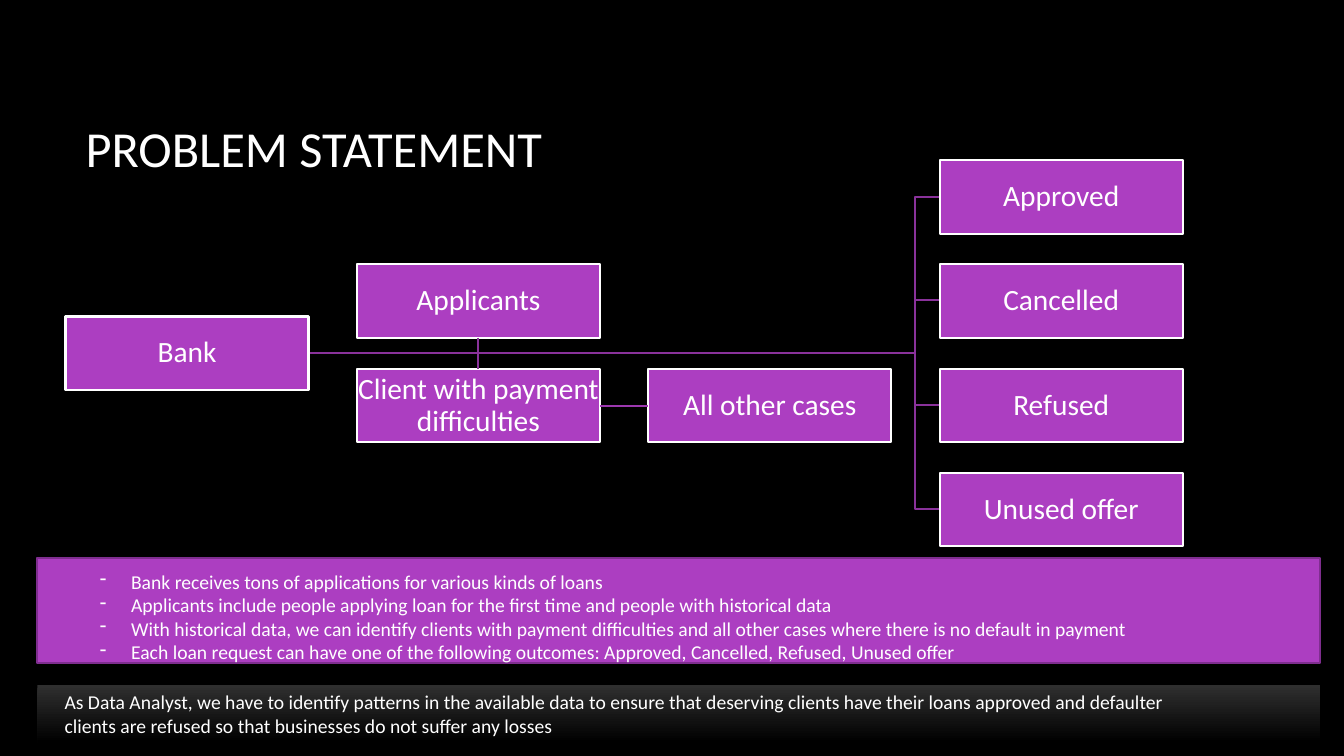
import dataclasses

import lxml.etree
import pptx
import pptx.dml.color
import pptx.enum.shapes
import pptx.enum.text
import pptx.oxml.ns
import pptx.shapes.autoshape
import pptx.util

SCALE = 9144
FONT = "Calibri"
COLORS = {
    "black": "000000",
    "white": "FFFFFF",
    "box": "AC3EC1",
    "edge": "7F2E8F",
    "branch": "8A329B",
    "link": "9C38AF",
    "grey": "2F2F2F",
}
WIDTH, HEIGHT = 241, 73
LEFT, TOP = 65, 159
COL_STEP, ROW_STEP = 289, 207
SPINE = 908
POINTS = [
    "Bank receives tons of applications for various kinds of loans",
    "Applicants include people applying loan for the first time and people with historical data",
    "With historical data, we can identify clients with payment difficulties "
    "and all other cases where there is no default in payment",
    "Each loan request can have one of the following outcomes: "
    "Approved, Cancelled, Refused, Unused offer",
]
GOAL = (
    "As Data Analyst, we have to identify patterns in the available data to ensure that "
    "deserving clients have their loans approved and defaulter clients are refused so that "
    "businesses do not suffer any losses"
)


@dataclasses.dataclass(frozen=True)
class Node:
    text: str
    col: int
    half: int

    @property
    def left(self) -> int:
        return LEFT + self.col * COL_STEP

    @property
    def top(self) -> int:
        return TOP + self.half * ROW_STEP // 4

    @property
    def mid(self) -> int:
        return self.top + HEIGHT // 2


@dataclasses.dataclass(frozen=True)
class Link:
    start: Node
    start_site: int
    end: Node
    end_site: int
    color: str


BANK = Node("Bank", 0, 3)
PEOPLE = Node("Applicants", 1, 2)
CLIENT = Node("Client with payment difficulties", 1, 4)
OTHERS = Node("All other cases", 2, 4)
RESULTS = [
    Node(text, 3, 2 * row)
    for row, text in enumerate(["Approved", "Cancelled", "Refused", "Unused offer"])
]
LINKS = [
    Link(PEOPLE, 3, CLIENT, 0, "branch"),
    Link(CLIENT, 3, OTHERS, 1, "link"),
]
LINKS[0] = dataclasses.replace(LINKS[0], start_site=2)


def px(size: int) -> pptx.util.Emu:
    return pptx.util.Emu(size * SCALE)


def rgb(name: str) -> pptx.dml.color.RGBColor:
    return pptx.dml.color.RGBColor.from_string(COLORS[name])


def write(shape: pptx.shapes.autoshape.Shape, text: str, size: int, center: bool = False) -> None:
    frame = shape.text_frame
    frame.word_wrap = True
    frame.text = text
    for line in frame.paragraphs:
        line.alignment = pptx.enum.text.PP_ALIGN.CENTER if center else pptx.enum.text.PP_ALIGN.LEFT
        for run in line.runs:
            run.font.name = FONT
            run.font.size = pptx.util.Pt(size)
            run.font.color.rgb = rgb("white")


def inset(shape: pptx.shapes.autoshape.Shape, left: int, top: int, right: int, base: int) -> None:
    frame = shape.text_frame
    frame.margin_left, frame.margin_top = px(left), px(top)
    frame.margin_right, frame.margin_bottom = px(right), px(base)


def rect(slide: pptx.slide.Slide, left: int, top: int, width: int, height: int,
         edge: str | None = None) -> pptx.shapes.autoshape.Shape:
    shape = slide.shapes.add_shape(
        pptx.enum.shapes.MSO_SHAPE.RECTANGLE, px(left), px(top), px(width), px(height))
    shape.shadow.inherit = False
    shape.fill.solid()
    shape.fill.fore_color.rgb = rgb("box")
    if edge:
        shape.line.color.rgb = rgb(edge)
        shape.line.width = pptx.util.Pt(1.5)
    else:
        shape.line.fill.background()
    return shape


def draw_node(slide: pptx.slide.Slide, node: Node) -> pptx.shapes.autoshape.Shape:
    shape = rect(slide, node.left, node.top, WIDTH, HEIGHT, "white")
    write(shape, node.text, 21, center=True)
    inset(shape, 1, 1, 1, 1)
    shape.text_frame.vertical_anchor = pptx.enum.text.MSO_ANCHOR.MIDDLE
    shape.text_frame.paragraphs[0].line_spacing = 0.9
    return shape


def draw_branch(slide: pptx.slide.Slide, start: Node, end: Node) -> None:
    path = slide.shapes.build_freeform(start.left + WIDTH, start.mid, scale=SCALE)
    path.add_line_segments(
        [(SPINE, start.mid), (SPINE, end.mid), (end.left, end.mid)], close=False)
    shape = path.convert_to_shape()
    shape.shadow.inherit = False
    shape.fill.background()
    shape.line.color.rgb = rgb("branch")
    shape.line.width = pptx.util.Pt(1.5)


def draw_link(slide: pptx.slide.Slide, link: Link,
              boxes: dict[Node, pptx.shapes.autoshape.Shape]) -> None:
    line = slide.shapes.add_connector(pptx.enum.shapes.MSO_CONNECTOR.STRAIGHT, 0, 0, 0, 0)
    line.begin_connect(boxes[link.start], link.start_site)
    line.end_connect(boxes[link.end], link.end_site)
    line.line.color.rgb = rgb(link.color)
    line.line.width = pptx.util.Pt(1.5)
    lxml.etree.SubElement(line._element.spPr, pptx.oxml.ns.qn("a:effectLst"))


def draw_points(slide: pptx.slide.Slide) -> None:
    panel = rect(slide, 37, 554, 1272, 104, "edge")
    write(panel, "\n".join(POINTS), 14)
    inset(panel, 62, 11, 75, 0)
    panel.text_frame.vertical_anchor = pptx.enum.text.MSO_ANCHOR.TOP
    for line in panel.text_frame.paragraphs:
        props = line._p.get_or_add_pPr()
        props.set("marL", str(px(31)))
        props.set("indent", str(px(-31)))
        lxml.etree.SubElement(props, pptx.oxml.ns.qn("a:buChar")).set("char", "-")


def draw_goal(slide: pptx.slide.Slide) -> None:
    panel = rect(slide, 37, 680, 1272, 57)
    panel.fill.gradient()
    panel.fill.gradient_angle = 270
    for stop, name, place in zip(panel.fill.gradient_stops, ("grey", "black"), (0, 1)):
        stop.color.rgb = rgb(name)
        stop.position = place
    write(panel, GOAL, 14)
    inset(panel, 27, 5, 110, 5)
    panel.text_frame.vertical_anchor = pptx.enum.text.MSO_ANCHOR.TOP


def main() -> None:
    deck = pptx.Presentation()
    deck.slide_width, deck.slide_height = px(1333), px(750)
    slide = deck.slides.add_slide(deck.slide_layouts[6])
    slide.background.fill.solid()
    slide.background.fill.fore_color.rgb = rgb("black")
    title = slide.shapes.add_textbox(px(75), px(67), px(1108), px(159))
    write(title, "PROBLEM STATEMENT", 36)
    title.text_frame.vertical_anchor = pptx.enum.text.MSO_ANCHOR.MIDDLE
    for end in RESULTS:
        draw_branch(slide, BANK, end)
    nodes = [BANK, *RESULTS, PEOPLE, CLIENT, OTHERS]
    boxes = {node: draw_node(slide, node) for node in nodes}
    for link in LINKS:
        draw_link(slide, link, boxes)
    draw_points(slide)
    draw_goal(slide)
    deck.save("out.pptx")


if __name__ == "__main__":
    main()
